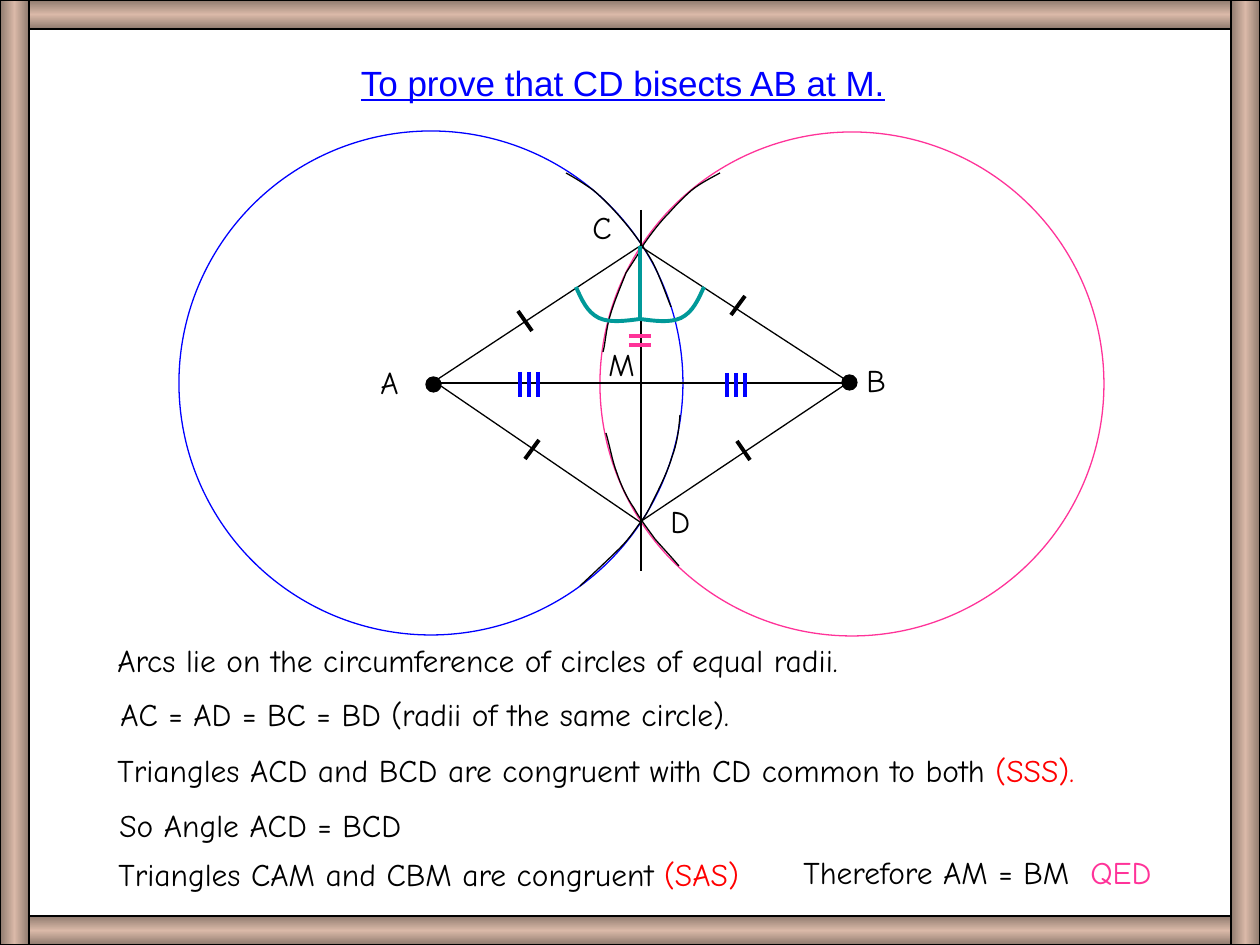
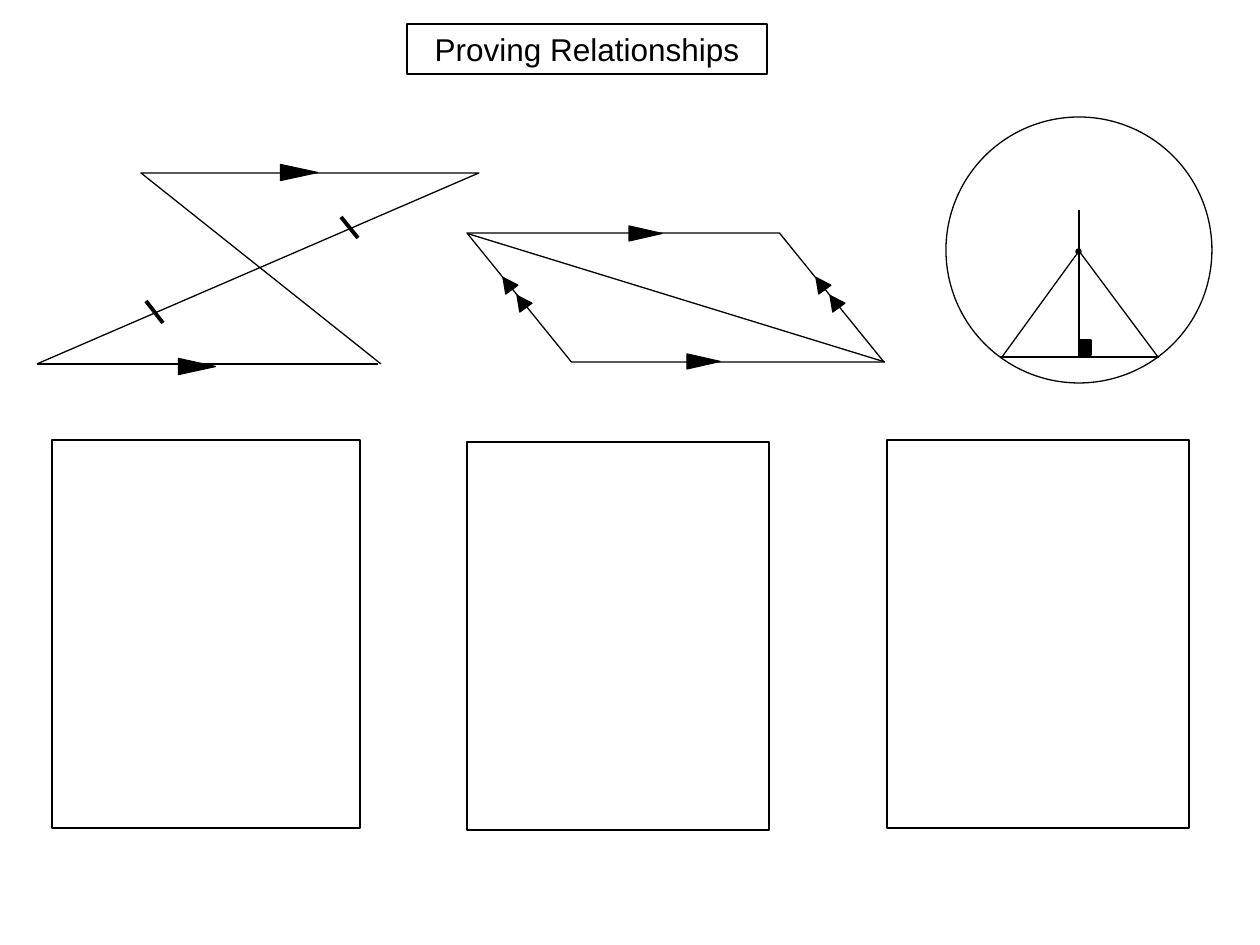
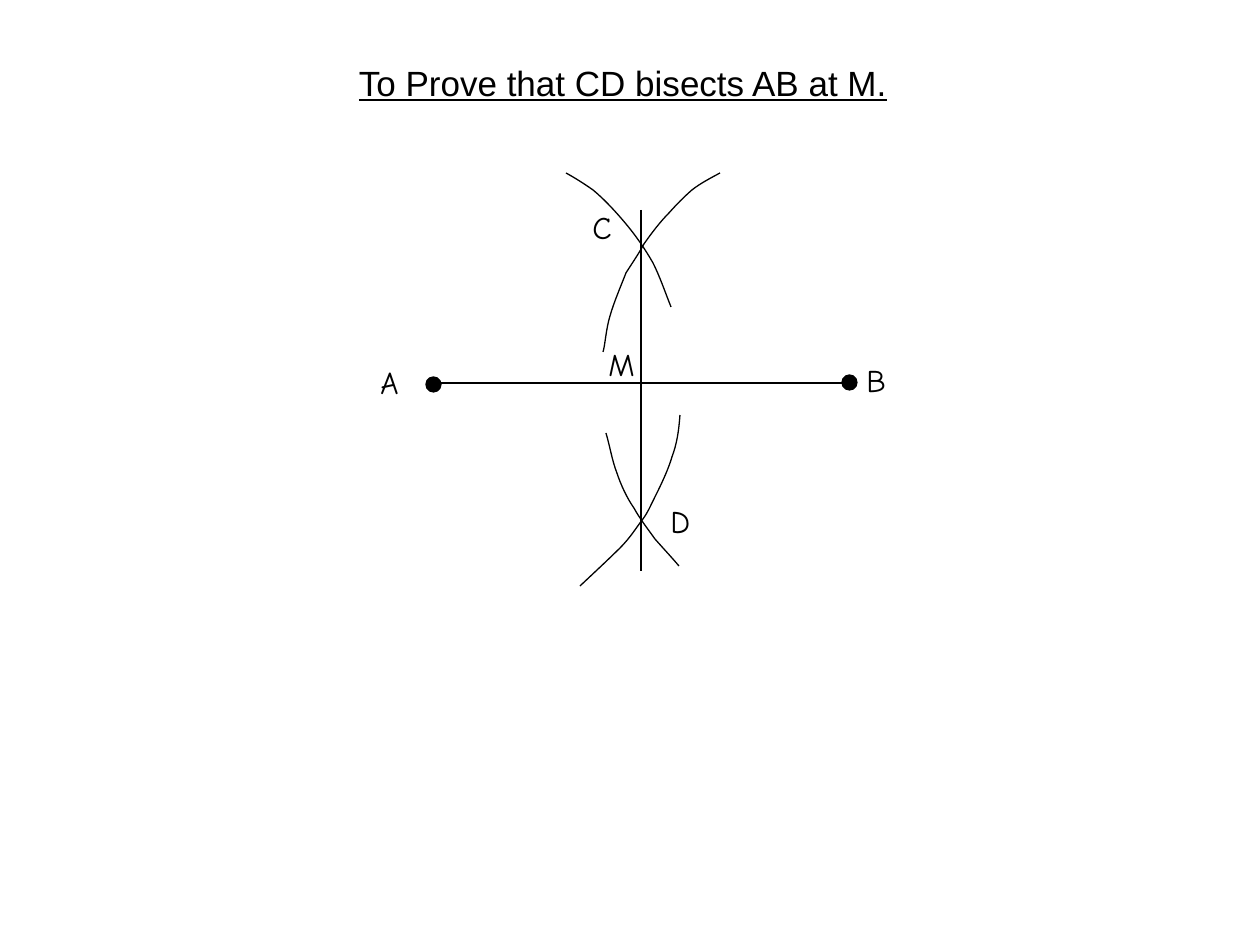
from copy import deepcopy

from lxml import etree
from pptx import Presentation
from pptx import util as u
from pptx.dml.color import RGBColor as Rgb
from pptx.enum import shapes as sh, text as tx
from pptx.oxml.ns import qn

SCALE = 914400 / 126
KIND = sh.MSO_SHAPE


class Theme:
    black = Rgb.from_string("000000")
    blue = Rgb.from_string("0000FF")
    pink = Rgb.from_string("FF3399")
    red = Rgb.from_string("FF0000")
    teal = Rgb.from_string("009999")
    edge = Rgb.from_string("8F7A6E")
    glow = Rgb.from_string("DAB9A8")
    plain = "Arial"
    hand = "Comic Neue"
    head = 20
    body = 18
    thin = 0.75
    bold = 2.25


def put(page, box, kind=None, fill=None, line=Theme.black, turn=0,
        words=(), font=Theme.hand, size=Theme.body, center=False, under=False):
    place = [u.Emu(round(n * SCALE)) for n in box]
    if kind is None:
        shape = page.shapes.add_textbox(*place)
    else:
        shape = page.shapes.add_shape(kind, *place)
        shape.shadow.inherit = False
        shape.rotation = turn
        shape.line.color.rgb = line
        shape.line.width = u.Pt(Theme.thin)
        if fill is None:
            shape.fill.background()
        else:
            shape.fill.solid()
            shape.fill.fore_color.rgb = fill
    if words:
        frame = shape.text_frame
        frame.word_wrap = True
        frame.vertical_anchor = tx.MSO_ANCHOR.TOP
        para = frame.paragraphs[0]
        para.alignment = tx.PP_ALIGN.CENTER if center else tx.PP_ALIGN.LEFT
        para.font.name = font
        para.font.size = u.Pt(size)
        para.font.underline = under
        for word, tint in words:
            run = para.add_run()
            run.text = word
            run.font.color.rgb = tint
    return shape


def trace(page, dots, tint=Theme.black, width=Theme.thin, bend=False):
    if len(dots) == 2:
        ends = [u.Emu(round(n * SCALE)) for dot in dots for n in dot]
        shape = page.shapes.add_connector(sh.MSO_CONNECTOR.STRAIGHT, *ends)
        etree.SubElement(shape._element.spPr, qn("a:effectLst"))
    else:
        form = page.shapes.build_freeform(*dots[0], scale=SCALE)
        form.add_line_segments(dots[1:], close=False)
        shape = form.convert_to_shape()
        shape.fill.background()
        shape.shadow.inherit = False
        if bend:
            track = shape._element.spPr.find(".//" + qn("a:path"))
            steps = track.findall(qn("a:lnTo"))
            for i in range(0, len(steps), 3):
                curve = etree.SubElement(track, qn("a:cubicBezTo"))
                for step in steps[i:i + 3]:
                    curve.append(step[0])
                    track.remove(step)
    shape.line.color.rgb = tint
    shape.line.width = u.Pt(width)


deck = Presentation()
deck.slide_width = u.Inches(10)
deck.slide_height = u.Inches(7.5)
proof, tasks, start = [deck.slides.add_slide(deck.slide_layouts[6]) for _ in range(3)]

for box, angle in (
    ((0, 0, 1260, 29), 90),
    ((0, 916, 1260, 29), 90),
    ((1231, 0, 29, 945), 0),
    ((0, 0, 29, 945), 0),
):
    bar = put(proof, box, KIND.RECTANGLE)
    bar.fill.gradient()
    bar.fill.gradient_angle = angle
    stops = bar._element.spPr.find(".//" + qn("a:gsLst"))
    stops.append(deepcopy(stops[0]))
    tints = (Theme.edge, Theme.glow, Theme.edge)
    for i, (stop, tint) in enumerate(zip(bar.fill.gradient_stops, tints)):
        stop.position = i / 2
        stop.color.rgb = tint

put(proof, (179, 131, 504, 504), KIND.OVAL, line=Theme.blue)
put(proof, (600, 132, 504, 504), KIND.OVAL, line=Theme.pink)

labels = (
    ("A", 368, 357, 82), ("B", 854, 355, 82),
    ("C", 580, 202, 73), ("D", 658, 496, 73), ("M", 596, 339, 58),
)
arcs = (
    ((566, 173), (575, 178), (583, 183), (593, 190), (604, 199), (616, 212), (626, 224),
     (636, 236), (645, 249), (653, 263), (660, 277), (665, 292), (671, 307)),
    ((720, 173), (711, 178), (701, 183), (692, 190), (684, 197), (677, 204), (669, 213),
     (660, 222), (651, 234), (644, 244), (638, 255), (633, 262), (626, 273),
     (621, 286), (614, 302), (610, 316), (606, 329), (605, 346), (603, 352)),
    ((606, 433), (610, 446), (612, 460), (617, 473), (621, 485), (627, 498), (634, 508),
     (640, 519), (648, 529), (655, 539), (663, 548), (675, 561), (679, 566)),
    ((680, 415), (679, 430), (677, 444), (672, 457), (668, 471), (659, 489), (654, 499),
     (649, 509), (648, 512), (643, 519), (636, 528), (631, 537), (620, 548),
     (610, 558), (595, 572), (580, 586)),
)
for page, title, tint in (
    (proof, "To prove that CD bisects AB at M.", Theme.blue),
    (start, "To Prove that CD bisects AB at M.", Theme.black),
):
    put(page, (320, 55, 606, 55), words=[(title, tint)], font=Theme.plain,
        size=Theme.head, center=True, under=True)
    trace(page, ((431, 383), (848, 383)))
    trace(page, ((641, 210), (641, 571)))
    for left, top in ((426, 377), (842, 375)):
        put(page, (left, top, 15, 15), KIND.OVAL, Theme.black)
    for arc in arcs:
        trace(page, arc, bend=True)
    for name, left, top, wide in labels:
        put(page, (left, top, wide, 50), words=[(name, Theme.black)])

for side in (
    ((640, 246), (849, 382)), ((849, 382), (640, 522)),
    ((432, 383), (640, 246)), ((640, 522), (435, 382)),
):
    trace(proof, side)
for tick in (
    ((518, 311), (532, 331)), ((525, 459), (539, 440)),
    ((737, 441), (750, 460)), ((731, 315), (745, 296)),
):
    trace(proof, tick, width=Theme.bold)

angle = ((576, 287), (582, 300), (587, 312), (599, 318), (610, 323), (625, 321), (640, 319))
for dots in (angle, [(1280 - x, y) for x, y in angle]):
    trace(proof, dots, Theme.teal, Theme.bold, bend=True)
trace(proof, ((640, 246), (640, 319)), Theme.teal, Theme.bold)
for y in (336, 345):
    trace(proof, ((629, y), (651, y)), Theme.pink, Theme.bold)
for left, top in ((520, 372), (727, 373)):
    for i in range(3):
        x = left + 9 * i
        trace(proof, ((x, top), (x, 397)), Theme.blue, Theme.bold)

for left, top, wide, *words in (
    (105, 635, 866, ("Arcs lie on the circumference of circles of equal radii.", Theme.black)),
    (108, 689, 867, ("AC = AD = BC = BD (radii of the same circle).", Theme.black)),
    (105, 745, 1121, ("Triangles ACD and BCD are congruent with CD common to both ", Theme.black),
     ("(SSS).", Theme.red)),
    (107, 800, 389, ("So Angle ACD = BCD", Theme.black)),
    (106, 849, 759, ("Triangles CAM and CBM are congruent ", Theme.black), ("(SAS)", Theme.red)),
    (791, 847, 300, ("Therefore AM = BM", Theme.black)),
    (1078, 847, 129, ("QED", Theme.pink)),
):
    put(proof, (left, top, wide, 50), words=words)

put(tasks, (407, 24, 360, 50), KIND.RECTANGLE, font=Theme.plain, center=True,
    words=[("Proving Relationships", Theme.black)])

trace(tasks, ((381, 364), (141, 173), (479, 173), (37, 364)))
for line in (
    ((378, 364), (37, 364)), ((469, 234), (885, 362)),
    ((1002, 357), (1079, 251)), ((1079, 251), (1158, 357)),
    ((1000, 357), (1159, 357)), ((1079, 210), (1079, 357)),
):
    trace(tasks, line)
for tick in (((146, 301), (163, 323)), ((341, 217), (358, 238))):
    trace(tasks, tick, width=Theme.bold)

slant = put(tasks, (467, 233, 417, 129), KIND.PARALLELOGRAM)
slant.adjustments[0] = 0.81
slant._element.spPr.find(qn("a:xfrm")).set("flipH", "1")

for box in (
    (291, 154, 16, 37), (189, 348, 16, 37), (638, 217, 15, 33), (696, 345, 15, 33),
):
    put(tasks, box, KIND.ISOSCELES_TRIANGLE, Theme.black, turn=90)
for left in (500, 813):
    for dx, top in ((0, 276), (14, 294)):
        put(tasks, (left + dx, top, 15, 15), KIND.ISOSCELES_TRIANGLE, Theme.black, turn=324.1)

put(tasks, (946, 117, 266, 266), KIND.OVAL)
put(tasks, (1076, 249, 5, 5), KIND.OVAL, Theme.black)
put(tasks, (1079, 340, 12, 15), KIND.RECTANGLE, Theme.black)

for left, top, wide in ((52, 440, 308), (467, 442, 302), (887, 440, 302)):
    put(tasks, (left, top, wide, 388), KIND.RECTANGLE)

deck.save("out.pptx")
